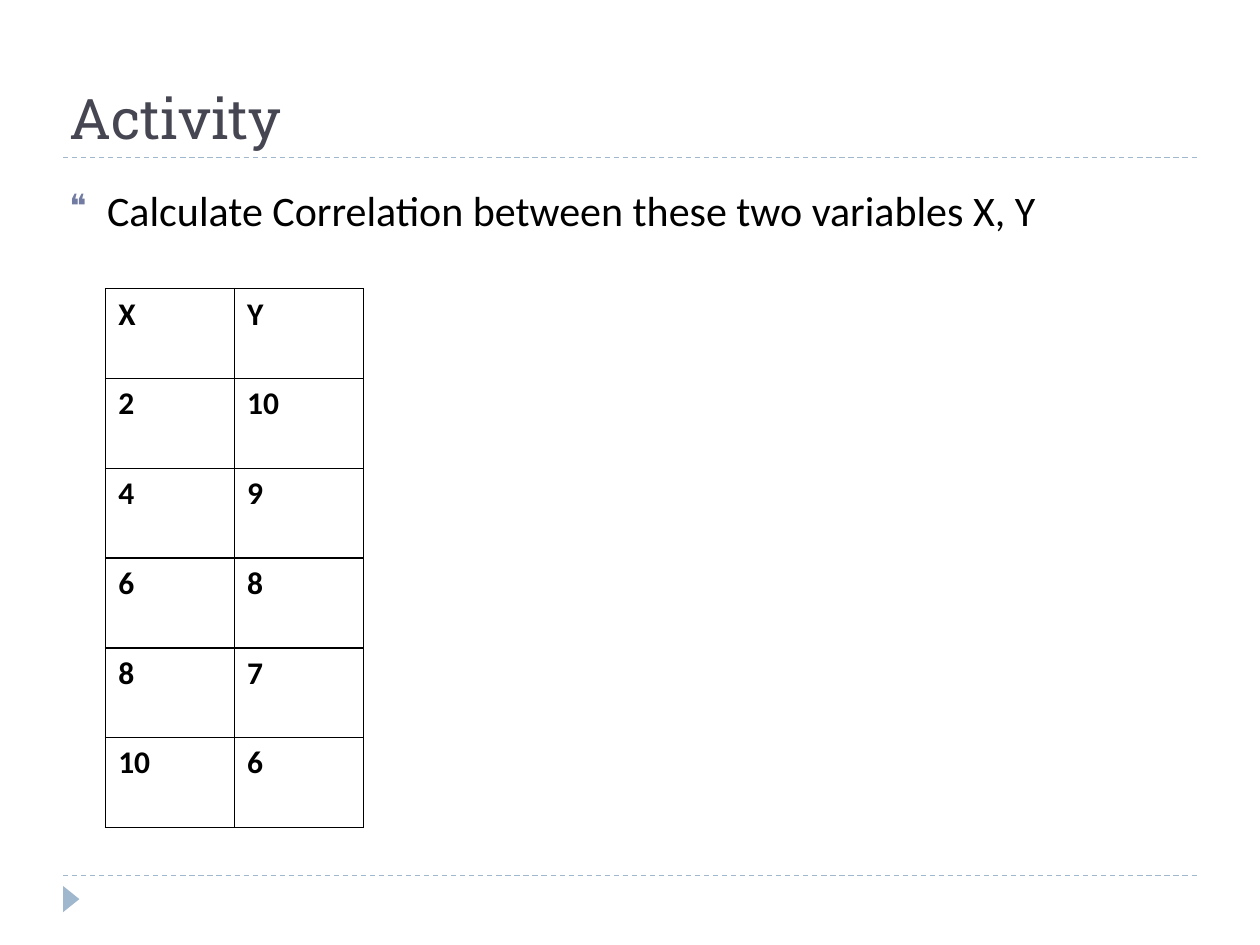
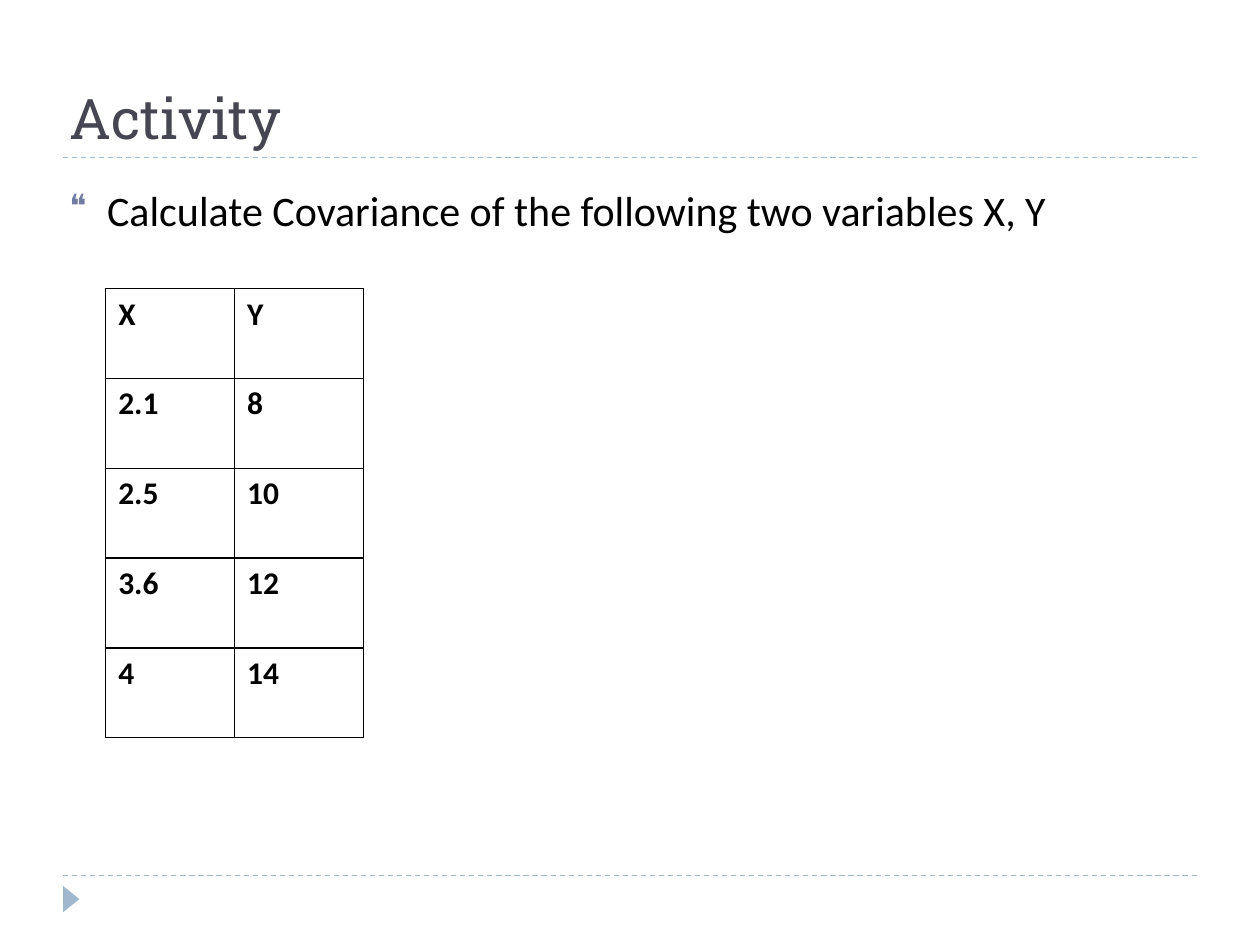
from lxml.etree import SubElement as Sub
from pptx import Presentation
from pptx.dml.color import RGBColor
from pptx.enum.dml import MSO_LINE as Dash
from pptx.enum.shapes import MSO_CONNECTOR as Link, MSO_SHAPE as Form
from pptx.enum.text import MSO_ANCHOR as Anchor
from pptx.oxml.ns import qn
from pptx.util import Cm, Pt

INK = RGBColor(0x00, 0x00, 0x00)
SLATE = RGBColor(0x46, 0x46, 0x53)
MIST = RGBColor(0x9F, 0xB8, 0xCD)
VIOLET = RGBColor(0x72, 0x7C, 0xA3)
HEAD, BODY = "Roboto Slab", "Calibri"
LEFT, WIDE = Cm(1.27), Cm(22.86)
PAD = Cm(0.13)

TASKS = [
    ("Calculate Correlation between these two variables X, Y",
     [("X", "Y"), ("2", "10"), ("4", "9"), ("6", "8"), ("8", "7"), ("10", "6")]),
    ("Calculate Covariance of the following two variables X, Y",
     [("X", "Y"), ("2.1", "8"), ("2.5", "10"), ("3.6", "12"), ("4", "14")]),
]


def add_run(para, text, size, face, color, bold=False):
    run = para.add_run()
    run.text = text
    font = run.font
    font.size, font.name, font.bold = Pt(size), face, bold
    font.color.rgb = color


def add_box(slide, top, high, anchor, inset=PAD):
    frame = slide.shapes.add_textbox(LEFT, top, WIDE, high).text_frame
    frame.word_wrap = True
    frame.vertical_anchor = anchor
    frame.margin_left = frame.margin_right = frame.margin_bottom = PAD
    frame.margin_top = inset
    return frame.paragraphs[0]


def add_rule(slide, top):
    rule = slide.shapes.add_connector(Link.STRAIGHT, LEFT, top, LEFT + WIDE, top)
    rule.line.color.rgb = MIST
    rule.line.width = Pt(0.75)
    rule.line.dash_style = Dash.DASH
    Sub(rule.element.spPr, qn("a:effectLst"))


def add_frame(slide):
    for top in (Cm(17.65), Cm(3.18)):
        add_rule(slide, top)
    mark = slide.shapes.add_shape(
        Form.ISOSCELES_TRIANGLE, Cm(1.17), Cm(17.96), Cm(0.53), Cm(0.33))
    mark.rotation = 90
    mark.shadow.inherit = False
    mark.fill.solid()
    mark.fill.fore_color.rgb = MIST
    mark.line.fill.background()


def add_title(slide, text):
    para = add_box(slide, Cm(0.43), Cm(2.74), Anchor.BOTTOM)
    add_run(para, text, 32, HEAD, SLATE)


def add_point(slide, text):
    para = add_box(slide, Cm(3.38), Cm(13.72), Anchor.TOP, Cm(0.34))
    props = para._p.get_or_add_pPr()
    props.set("marL", str(Cm(0.76)))
    props.set("indent", str(-Cm(0.76)))
    Sub(Sub(props, qn("a:buClr")), qn("a:srgbClr"), val=str(VIOLET))
    Sub(props, qn("a:buSzPct"), val="76000")
    Sub(props, qn("a:buChar"), char="❝")
    add_run(para, text, 24, BODY, INK)


def add_edges(cell):
    props = cell._tc.get_or_add_tcPr()
    for spot, side in enumerate(("lnL", "lnR", "lnT", "lnB")):
        edge = props.makeelement(qn("a:" + side), {"w": str(Pt(1))})
        fill = Sub(edge, qn("a:solidFill"))
        Sub(fill, qn("a:srgbClr"), val=str(INK))
        props.insert(spot, edge)


def add_grid(slide, rows):
    wide, high = Cm(2.6), Cm(1.81)
    count = len(rows[0])
    grid = slide.shapes.add_table(
        len(rows), count, Cm(2.13), Cm(5.82), wide * count, high * len(rows)).table
    grid.first_row = grid.horz_banding = False
    for cell, text in zip(grid.iter_cells(), (text for row in rows for text in row)):
        cell.fill.background()
        add_edges(cell)
        add_run(cell.text_frame.paragraphs[0], text, 18, BODY, INK, True)


def main():
    deck = Presentation()
    deck.slide_width, deck.slide_height = Cm(25.4), Cm(19.05)
    for point, rows in TASKS:
        slide = deck.slides.add_slide(deck.slide_layouts[6])
        add_frame(slide)
        add_title(slide, "Activity")
        add_point(slide, point)
        add_grid(slide, rows)
    deck.save("out.pptx")


if __name__ == "__main__":
    main()
